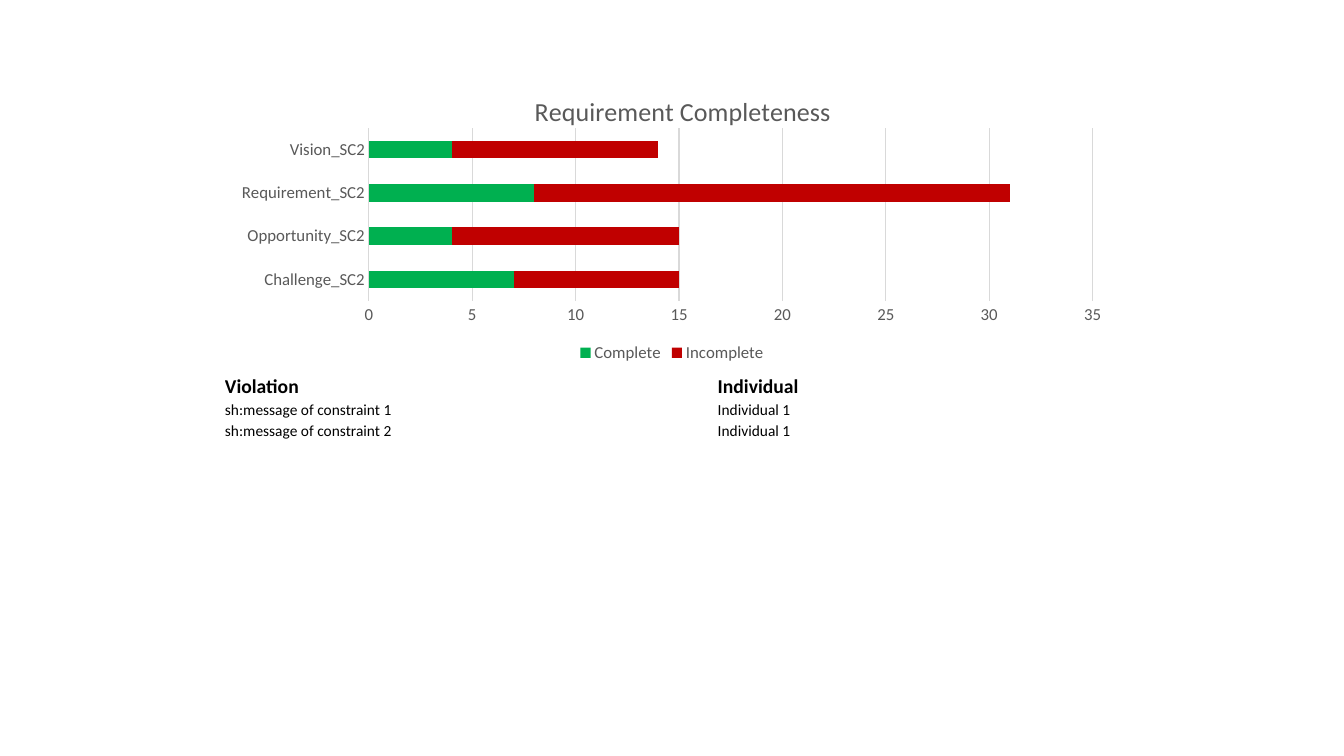
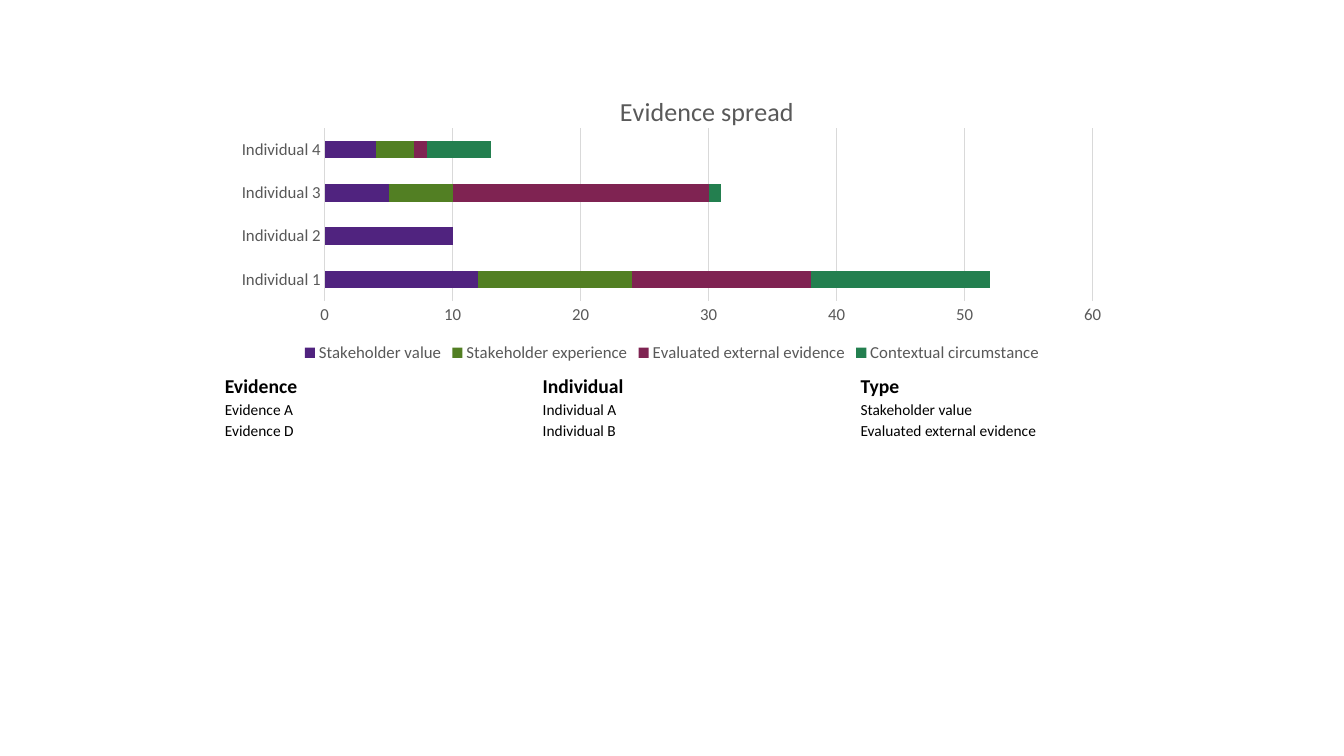
import pptx
import pptx.chart.data
import pptx.dml.color
import pptx.enum.chart
import pptx.enum.text
import pptx.oxml
import pptx.oxml.ns
import pptx.util

Pt = pptx.util.Pt


class Deck:
    font = "Calibri"
    hues = {
        "text": "000000", "label": "595959", "grid": "D9D9D9",
        "green": "00B050", "red": "C00000", "violet": "50237F",
        "olive": "527F23", "plum": "7F2352", "teal": "237F4F",
    }
    left, wide = 160, 640
    top, high = 49, 213

    def __init__(self):
        self.prs = pptx.Presentation()
        self.prs.slide_width = Pt(960)
        self.prs.slide_height = Pt(540)
        self.slide = None

    def page(self):
        self.slide = self.prs.slides.add_slide(self.prs.slide_layouts[6])

    def hue(self, name):
        return pptx.dml.color.RGBColor.from_string(self.hues[name])

    def style(self, font, size, hue, bold=False):
        font.name = self.font
        font.size = Pt(size)
        font.bold = bold
        font.color.rgb = self.hue(hue)

    def place(self, host, x, y, w=None, h=None):
        marks = [("xMode", "edge"), ("yMode", "edge"),
                 ("x", x / self.wide), ("y", y / self.high)]
        if w is not None:
            marks.insert(0, ("layoutTarget", "inner"))
            marks += [("w", w / self.wide), ("h", h / self.high)]
        inner = "".join(f'<c:{tag} val="{val}"/>' for tag, val in marks)
        space = pptx.oxml.ns.nsdecls("c")
        node = pptx.oxml.parse_xml(
            f"<c:layout {space}><c:manualLayout>{inner}</c:manualLayout></c:layout>")
        old = host.find(pptx.oxml.ns.qn("c:layout"))
        if old is None:
            host.insert(0, node)
        else:
            host.replace(old, node)

    def chart(self, title, shift, edge, cats, series, limit, step):
        data = pptx.chart.data.CategoryChartData()
        data.categories = cats
        for name, hue, vals in series:
            data.add_series(name, vals)
        chart = self.slide.shapes.add_chart(
            pptx.enum.chart.XL_CHART_TYPE.BAR_STACKED, Pt(self.left),
            Pt(self.top), Pt(self.wide), Pt(self.high), data).chart
        self.style(chart.font, 12, "label")

        chart.has_title = True
        para = chart.chart_title.text_frame.paragraphs[0]
        para.text = title
        self.style(para.font, 18.6, "label")
        self.place(chart.chart_title._element, shift, 14)
        area = chart._chartSpace.find(".//" + pptx.oxml.ns.qn("c:plotArea"))
        self.place(area, edge, 42.5, 620.5 - edge, 123.5)

        chart.has_legend = True
        chart.legend.position = pptx.enum.chart.XL_LEGEND_POSITION.BOTTOM
        chart.legend.include_in_layout = False
        self.style(chart.legend.font, 12, "label")

        plot = chart.plots[0]
        plot.gap_width = 150
        plot.overlap = 100
        plot.vary_by_categories = False
        for bar, (name, hue, vals) in zip(plot.series, series):
            bar.format.fill.solid()
            bar.format.fill.fore_color.rgb = self.hue(hue)

        for axis in (chart.category_axis, chart.value_axis):
            axis.major_tick_mark = pptx.enum.chart.XL_TICK_MARK.NONE
            axis.minor_tick_mark = pptx.enum.chart.XL_TICK_MARK.NONE
            self.style(axis.tick_labels.font, 12, "label")
        axis.minimum_scale = 0
        axis.maximum_scale = limit
        axis.major_unit = step
        axis.format.line.fill.background()
        axis.has_major_gridlines = True
        for line in (chart.category_axis.format.line,
                     axis.major_gridlines.format.line):
            line.width = Pt(0.75)
            line.color.rgb = self.hue("grid")

    def table(self, cols, rows):
        highs = [17.5] + [15] * (len(rows) - 1)
        table = self.slide.shapes.add_table(
            len(rows), len(cols), Pt(self.left), Pt(267),
            Pt(sum(cols)), Pt(sum(highs))).table
        table.first_row = False
        table.horz_banding = False
        for col, wide in zip(table.columns, cols):
            col.width = Pt(wide)
        for r, texts in enumerate(rows):
            table.rows[r].height = Pt(highs[r])
            for c, text in enumerate(texts):
                cell = table.cell(r, c)
                cell.fill.background()
                cell.vertical_anchor = pptx.enum.text.MSO_ANCHOR.BOTTOM
                cell.margin_left = cell.margin_right = cell.margin_top = Pt(0.7)
                cell.margin_bottom = Pt(0)
                para = cell.text_frame.paragraphs[0]
                para.text = text
                self.style(para.font, 11 if r else 14, "text", r == 0)


def main():
    deck = Deck()

    deck.page()
    deck.chart(
        "Requirement Completeness", 218.5, 103.5,
        ["Challenge_SC2", "Opportunity_SC2", "Requirement_SC2", "Vision_SC2"],
        [("Complete", "green", (7, 4, 8, 4)),
         ("Incomplete", "red", (8, 11, 23, 10))], 35, 5)
    deck.table([352, 288], [
        ("Violation", "Individual"),
        ("sh:message of constraint 1", "Individual 1"),
        ("sh:message of constraint 2", "Individual 1")])

    deck.page()
    deck.chart(
        "Evidence spread", 279.5, 72,
        [f"Individual {n}" for n in range(1, 5)],
        [("Stakeholder value", "violet", (12, 10, 5, 4)),
         ("Stakeholder experience", "olive", (12, 0, 5, 3)),
         ("Evaluated external evidence", "plum", (14, 0, 20, 1)),
         ("Contextual circumstance", "teal", (14, 0, 1, 5))], 60, 10)
    deck.table([227, 227, 186], [
        ("Evidence", "Individual", "Type"),
        ("Evidence A", "Individual A", "Stakeholder value"),
        ("Evidence D", "Individual B", "Evaluated external evidence")])

    deck.prs.save("out.pptx")


if __name__ == "__main__":
    main()
